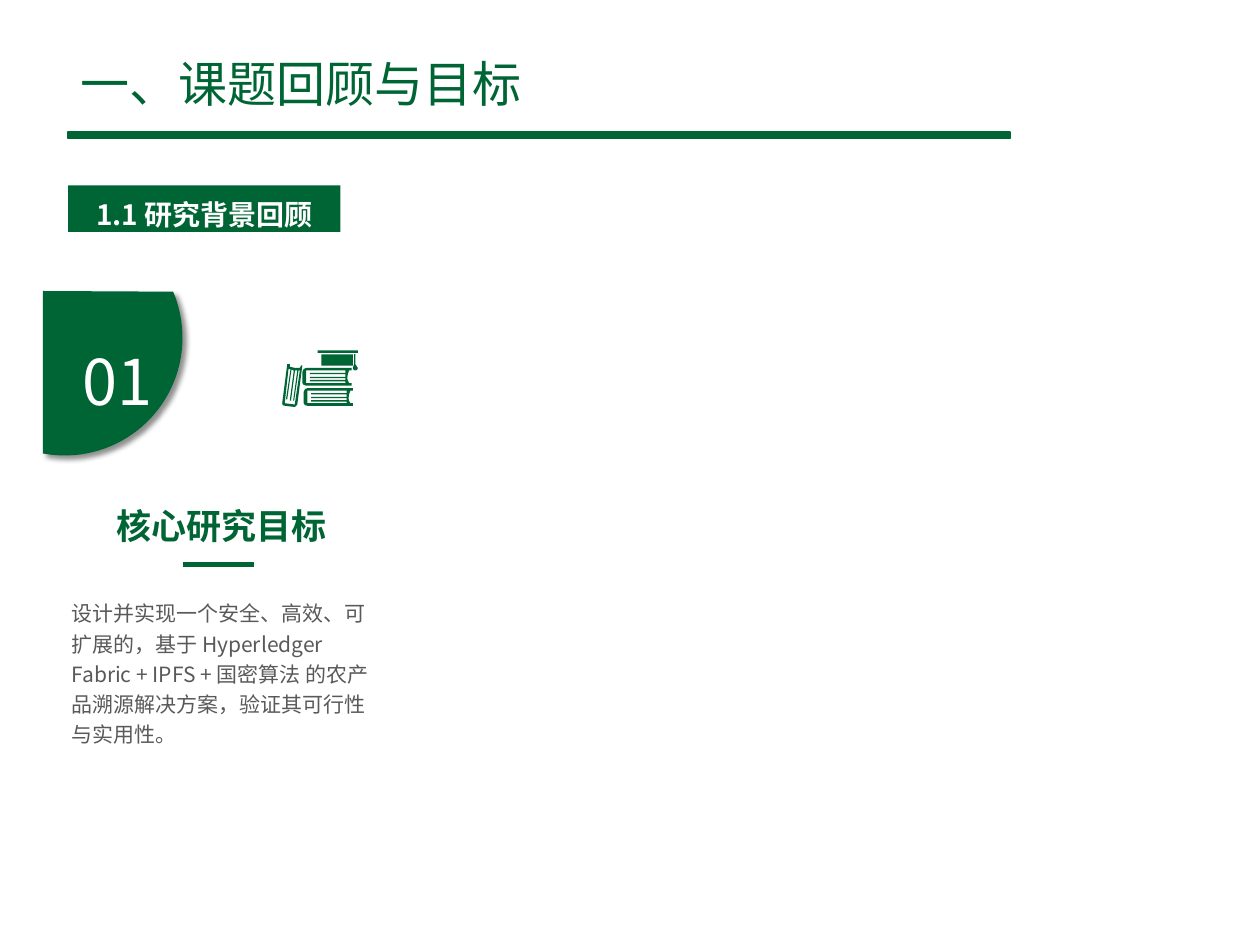
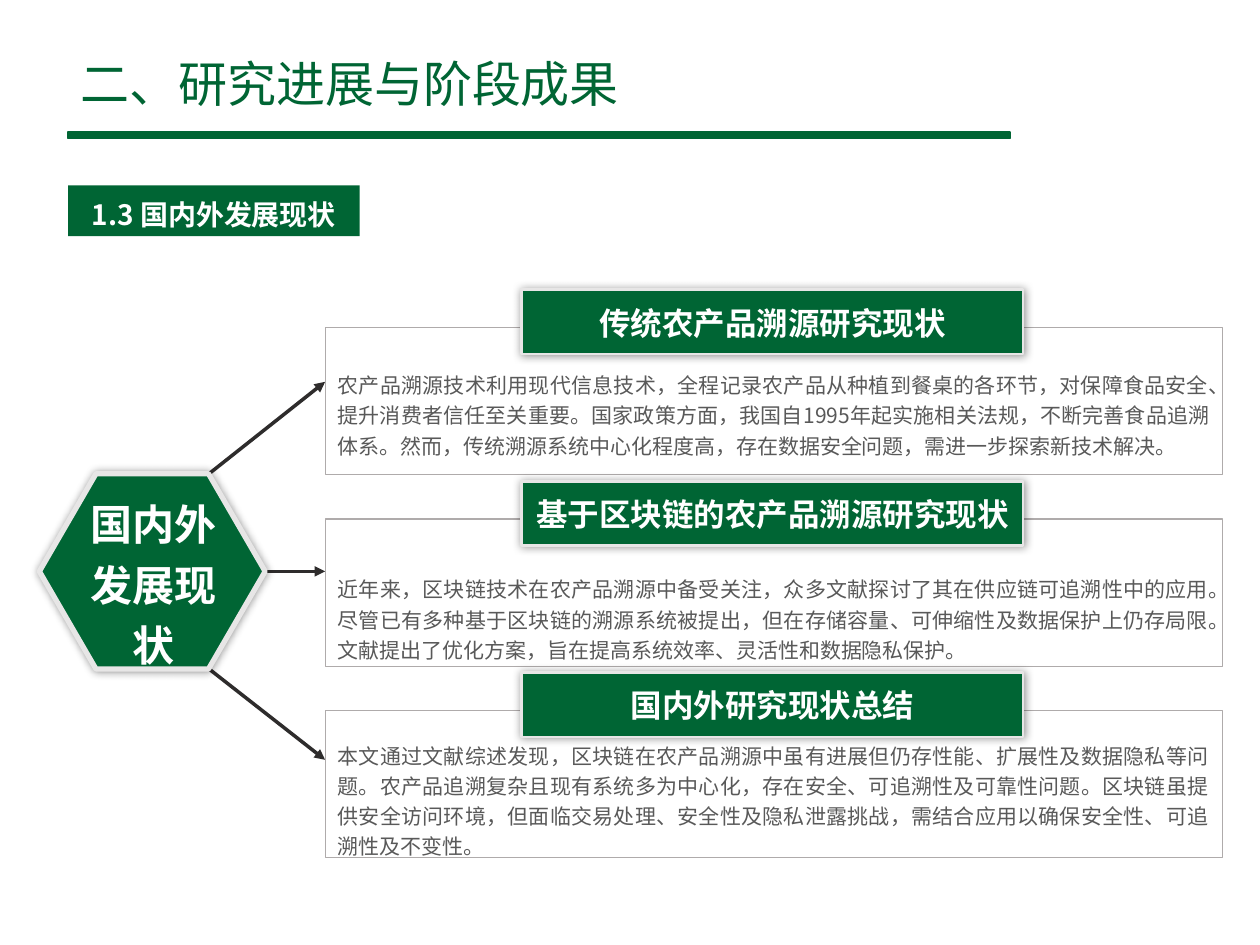
import math

import pptx
import pptx.dml.color
import pptx.enum.shapes
import pptx.enum.text
import pptx.oxml
import pptx.oxml.ns
import pptx.util

Pt = pptx.util.Pt
rgb = pptx.dml.color.RGBColor.from_string
RECT = pptx.enum.shapes.MSO_SHAPE.RECTANGLE
HEXAGON = pptx.enum.shapes.MSO_SHAPE.HEXAGON
STRAIGHT = pptx.enum.shapes.MSO_CONNECTOR.STRAIGHT
ALIGN = pptx.enum.text.PP_ALIGN
ANCHOR = pptx.enum.text.MSO_ANCHOR
NS = pptx.oxml.ns.nsdecls("a")

GREEN, WHITE, GREY = "006534", "FFFFFF", "595959"
PALE, FRAME, ARROW = "E7E6E6", "AFABAB", "2E2C2C"
FONT = "Noto Sans CJK SC"
GLOW = (40, 5, 0, 0)
INSETS = {"margin_left": Pt(5), "margin_right": Pt(5),
          "margin_top": Pt(3), "margin_bottom": Pt(3)}


def style(sp, fill, line=None, width=0, shadow=None):
    """Set fill and outline; shadow is (opacity %, blur, distance, angle)."""
    sp.shadow.inherit = False
    sp.fill.solid()
    sp.fill.fore_color.rgb = rgb(fill)
    if line:
        sp.line.color.rgb = rgb(line)
        sp.line.width = Pt(width)
    else:
        sp.line.fill.background()
    if shadow:
        alpha, blur, dist, angle = shadow
        sp._element.spPr.find(pptx.oxml.ns.qn("a:effectLst")).append(pptx.oxml.parse_xml(
            f'<a:outerShdw {NS} blurRad="{Pt(blur)}" dist="{Pt(dist)}" dir="{angle * 60000}" '
            f'rotWithShape="0"><a:srgbClr val="000000"><a:alpha val="{alpha * 1000}"/>'
            '</a:srgbClr></a:outerShdw>'))


def write(sp, text, size, color, bold=False, align=ALIGN.LEFT, spacing=1.2, **frame):
    tf = sp.text_frame
    for name, value in {"word_wrap": True, "vertical_anchor": ANCHOR.TOP, **frame}.items():
        setattr(tf, name, value)
    p = tf.paragraphs[0]
    p.alignment, p.line_spacing = align, spacing
    r = p.add_run()
    r.text = text
    for name, value in {"name": FONT, "size": Pt(size), "bold": bold}.items():
        setattr(r.font, name, value)
    r.font.color.rgb = rgb(color)
    rPr = r._r.get_or_add_rPr()
    rPr.set("lang", "zh-CN")
    rPr.append(pptx.oxml.parse_xml(f'<a:ea {NS} typeface="{FONT}"/>'))


prs = pptx.Presentation()
prs.slide_width, prs.slide_height = Pt(720), Pt(540)

# Title, rule and section tag on both slides
slides = []
for title, tag, tag_width, tag_height in [
    ("一、课题回顾与目标", "1.1 研究背景回顾", 155.5, 26.5),
    ("二、研究进展与阶段成果", "1.3 国内外发展现状", 166.5, 29),
]:
    s = prs.slides.add_slide(prs.slide_layouts[6])
    slides.append(s)
    sp = s.shapes.add_textbox(Pt(39), Pt(30), Pt(380), Pt(35))
    write(sp, title, 28, GREEN, spacing=1, vertical_anchor=ANCHOR.MIDDLE)
    sp = s.shapes.add_shape(RECT, Pt(39), Pt(75.6), Pt(538), Pt(3.6))
    style(sp, GREEN, GREEN, 1)
    sp = s.shapes.add_shape(RECT, Pt(39), Pt(106), Pt(tag_width), Pt(tag_height))
    style(sp, GREEN)
    write(sp, tag, 16, WHITE, True, ALIGN.CENTER, **INSETS)

# Slide 1: numbered badge, a disc cut off at the top and left
s = slides[0]
badge_left, badge_top = 24.5, 166.3
disc_x, disc_y, radius = 37, 193, 67.3
badge = [(badge_left, badge_top)]
for angle in range(-23, 101, 3):
    a = math.radians(angle)
    badge.append((disc_x + radius * math.cos(a), disc_y + radius * math.sin(a)))
badge.append((badge_left, 259.2))

# Book icon, drawn on a grid of 0.72 pt
icon_left, icon_top, unit = 161.3, 200.2, 0.72
lying_cover = [(0, 3), (0, 12), (1, 13.5), (3, 14), (39, 14), (39, 12), (37, 12), (36, 10),
               (35.6, 8), (36, 5), (37, 2), (39, 2), (39, 0), (3, 0), (1, 0.8)]
lying_pages = [(3, 2), (34, 2), (34, 4), (6, 4), (6, 5), (34, 5), (34, 7), (6, 7),
               (6, 8), (34, 8), (34, 9.5), (6, 9.5), (6, 10.7), (34, 10.7), (34, 12), (3, 12)]
standing_cover = [(14, 14), (10, 14), (6, 13), (6, 11), (4, 11), (0, 42), (0.4, 43.5),
                  (2, 44), (10, 45), (12, 43), (16, 12), (15, 12)]
standing_pages = [(10, 43), (2, 42), (5, 15), (6.6, 15), (3, 39), (4, 39), (7.4, 15.3),
                  (9.2, 16), (6, 40), (7, 40), (10.2, 16), (12, 16), (8.7, 40), (9.5, 40),
                  (13, 16), (14, 16)]
tassel = [(57, 3), (57, 11), (56, 14), (56.6, 15.5), (58, 16), (59.4, 15.5), (60, 14),
          (58, 11), (58, 3)]
outlines = [([badge], (43, 3, 3, 45))]
for dx, dy, contours in [
    (17, 30, [lying_cover, lying_pages]),
    (16, 14, [lying_cover, lying_pages]),
    (0, 0, [standing_cover, standing_pages]),
    (0, 0, [tassel]),
]:
    outlines.append(([[(icon_left + unit * (x + dx), icon_top + unit * (y + dy))
                       for x, y in contour] for contour in contours], None))
for contours, shadow in outlines:
    fb = None
    for contour in contours:
        points = [(Pt(x), Pt(y)) for x, y in contour]
        if fb is None:
            fb = s.shapes.build_freeform(*points[0])
        else:
            fb.move_to(*points[0])
        fb.add_line_segments(points[1:], close=True)
    style(fb.convert_to_shape(), GREEN, shadow=shadow)
for cap_part in [(181.5, 200.2, 23, 1.5), (183.6, 202.5, 18, 6.5)]:
    style(s.shapes.add_shape(RECT, *map(Pt, cap_part)), GREEN)

sp = s.shapes.add_textbox(Pt(40.3), Pt(183.6), Pt(66.2), Pt(55.4))
write(sp, "01", 36, WHITE)
sp = s.shapes.add_textbox(Pt(59), Pt(280), Pt(135.4), Pt(34))
write(sp, "核心研究目标", 20, GREEN, True, ALIGN.CENTER, word_wrap=False)
sp = s.shapes.add_textbox(Pt(33.8), Pt(337), Pt(187.2), Pt(93))
write(sp, "设计并实现一个安全、高效、可扩展的，基于 Hyperledger Fabric + IPFS + 国密算法 "
          "的农产品溯源解决方案，验证其可行性与实用性。", 12, GREY)

# Connectors: the underline on slide 1 and the arrows on slide 2
card_left = 185.8
for s, ends, color, width, arrow in [
    (slides[0], (104.4, 322.6, 145.4, 322.6), GREEN, 3, False),
    (slides[1], (119.5, 270.7, card_left, 218.2), ARROW, 0, True),
    (slides[1], (152, 326.5, card_left, 326.5), ARROW, 0, True),
    (slides[1], (119.5, 382.3, card_left, 434.2), ARROW, 0, True),
]:
    sp = s.shapes.add_connector(STRAIGHT, *map(Pt, ends))
    sp.line.color.rgb = rgb(color)
    sp.line.width = Pt(width)
    if arrow:
        sp.line._get_or_add_ln().append(pptx.oxml.parse_xml(f'<a:tailEnd {NS} type="triangle"/>'))
    sp._element.spPr.append(pptx.oxml.parse_xml(f"<a:effectLst {NS}/>"))

# Slide 2: hexagon and three headed cards
s = slides[1]
sp = s.shapes.add_shape(HEXAGON, Pt(22.5), Pt(270.7), Pt(129), Pt(111.6))
sp.adjustments[0] = 0.29
style(sp, GREEN, PALE, 3, GLOW)
sp = s.shapes.add_textbox(Pt(41), Pt(275.8), Pt(93.6), Pt(111.6))
write(sp, "国内外发展现状", 24, WHITE, True, ALIGN.CENTER)

card_top, card_step, card_width = 187.2, 109.4, 512.6
for i, (heading, body_top, body_height, body) in enumerate([
    ("传统农产品溯源研究现状", 206.6, 60,
     "农产品溯源技术利用现代信息技术，全程记录农产品从种植到餐桌的各环节，对保障食品安全、"
     "提升消费者信任至关重要。国家政策方面，我国自1995年起实施相关法规，不断完善食品追溯体系。"
     "然而，传统溯源系统中心化程度高，存在数据安全问题，需进一步探索新技术解决。"),
    ("基于区块链的农产品溯源研究现状", 323.3, 60,
     "近年来，区块链技术在农产品溯源中备受关注，众多文献探讨了其在供应链可追溯性中的应用。"
     "尽管已有多种基于区块链的溯源系统被提出，但在存储容量、可伸缩性及数据保护上仍存局限。"
     "文献提出了优化方案，旨在提高系统效率、灵活性和数据隐私保护。"),
    ("国内外研究现状总结", 418.3, 77,
     "本文通过文献综述发现，区块链在农产品溯源中虽有进展但仍存性能、扩展性及数据隐私等问题。"
     "农产品追溯复杂且现有系统多为中心化，存在安全、可追溯性及可靠性问题。"
     "区块链虽提供安全访问环境，但面临交易处理、安全性及隐私泄露挑战，"
     "需结合应用以确保安全性、可追溯性及不变性。"),
]):
    top = card_top + i * card_step
    sp = s.shapes.add_shape(RECT, Pt(card_left), Pt(top), Pt(card_width), Pt(84.2))
    style(sp, WHITE, FRAME)
    sp = s.shapes.add_shape(RECT, Pt(298), Pt(top - 21.6), Pt(286.6), Pt(36.7))
    style(sp, GREEN, PALE, 1.5, GLOW)
    write(sp, heading, 18, WHITE, True, ALIGN.CENTER)
    sp = s.shapes.add_textbox(Pt(card_left), Pt(body_top), Pt(card_width), Pt(body_height))
    write(sp, body, 12, GREY, align=ALIGN.JUSTIFY)

prs.save("out.pptx")
